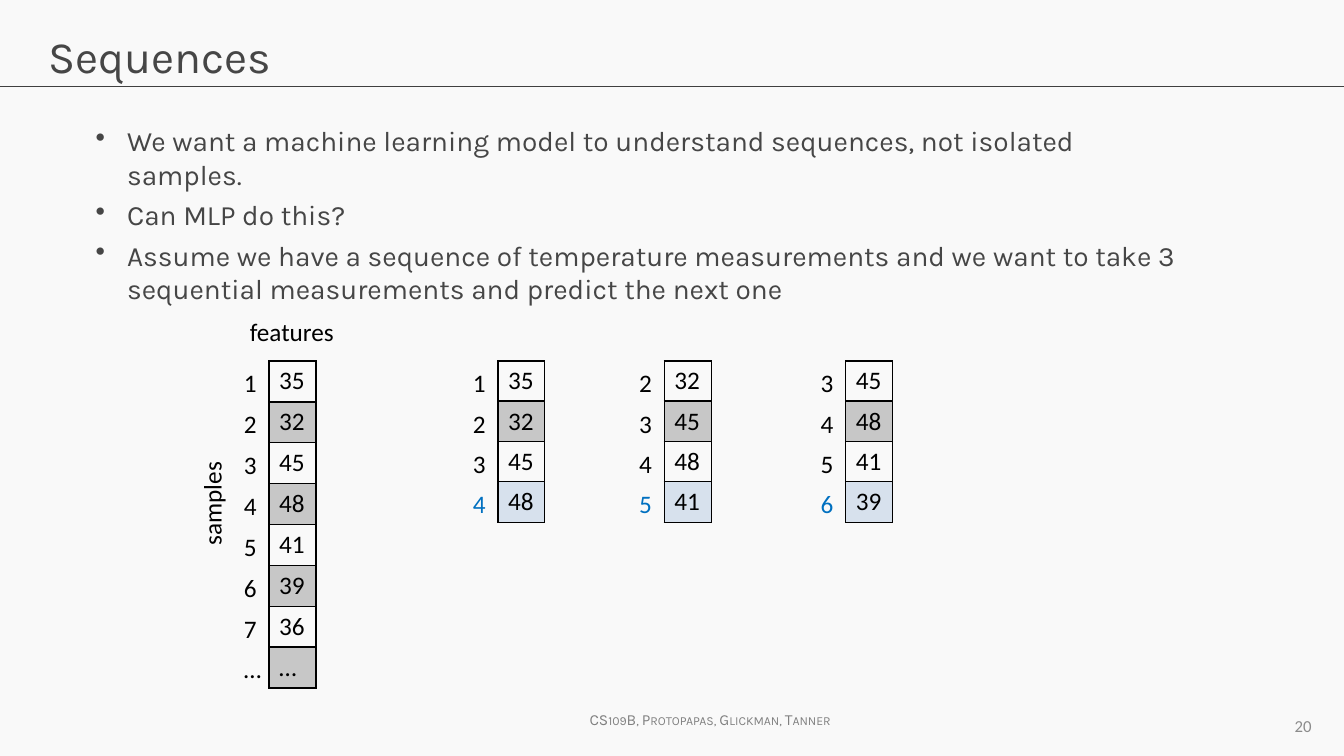
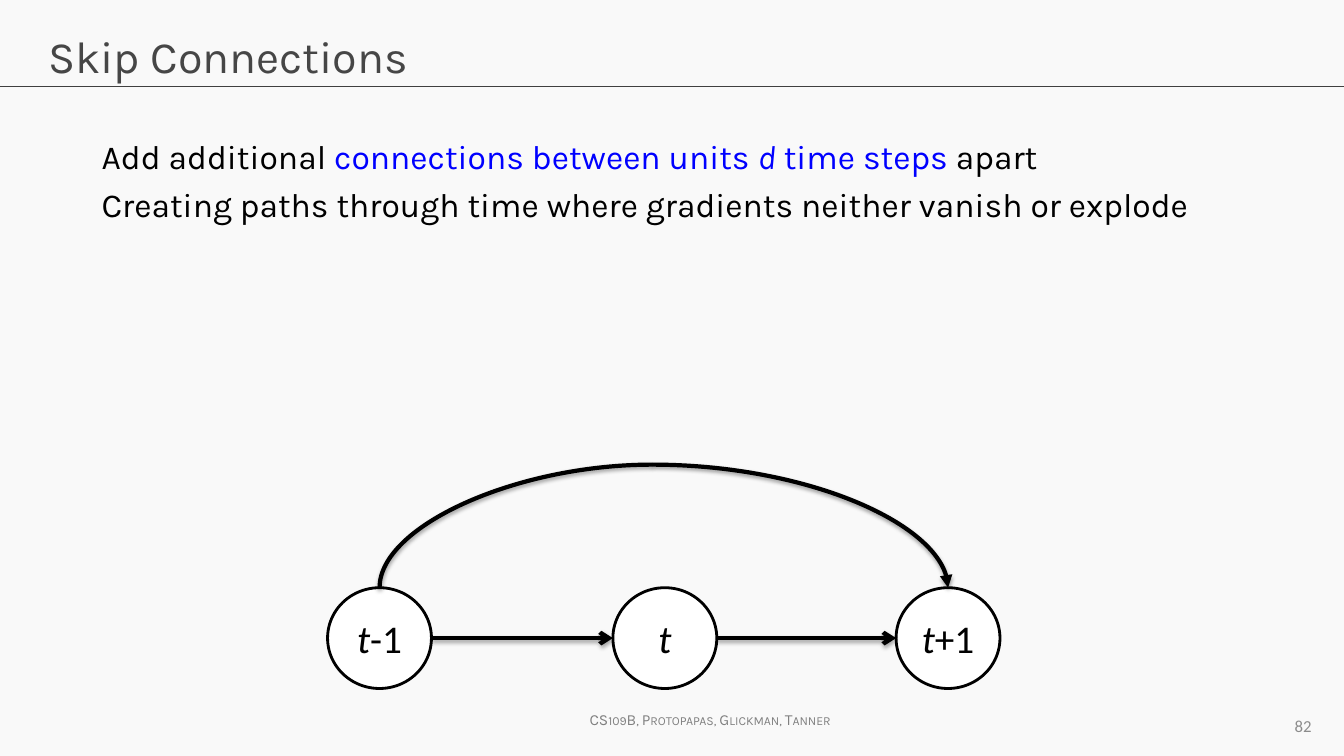
"""Build two lecture slides on sequences and skip connections."""
from dataclasses import dataclass

from lxml import etree
from pptx import Presentation
from pptx.dml.color import RGBColor
from pptx.enum.shapes import MSO_CONNECTOR, MSO_SHAPE
from pptx.enum.text import MSO_ANCHOR, PP_ALIGN
from pptx.oxml.ns import qn
from pptx.util import Pt

LEFT, CENTER, RIGHT = PP_ALIGN.LEFT, PP_ALIGN.CENTER, PP_ALIGN.RIGHT
TOP, MIDDLE = MSO_ANCHOR.TOP, MSO_ANCHOR.MIDDLE
STRAIGHT, CURVE = MSO_CONNECTOR.STRAIGHT, MSO_CONNECTOR.CURVE
OVAL = MSO_SHAPE.OVAL
NO_GRID = "{2D5ABB26-0587-4C30-8999-92F81FD0307C}"


@dataclass(frozen=True)
class Theme:
    width: float = 960
    height: float = 540
    heading_font: str = "Karla"
    label_font: str = "Calibri"
    background: str = "F9F9F9"
    rule: str = "404040"
    text: str = "464646"
    footer: str = "808080"
    number: str = "8C8C8C"
    black: str = "000000"
    white: str = "FFFFFF"
    blue: str = "0000FF"
    target: str = "0070C0"
    target_fill: str = "4F81BD"
    title_size: float = 32
    node_size: float = 28
    statement_size: float = 24
    bullet_size: float = 20
    label_size: float = 18
    number_size: float = 12
    footer_size: float = 11


T = Theme()


@dataclass(frozen=True)
class Box:
    x: float
    y: float
    w: float
    h: float

    def lengths(self) -> tuple:
        return Pt(self.x), Pt(self.y), Pt(self.w), Pt(self.h)


@dataclass(frozen=True)
class Style:
    size: float
    font: str = T.heading_font
    color: str = T.text
    align: PP_ALIGN = LEFT
    before: float = 0
    bullet: bool = False
    small_caps: bool = False


@dataclass(frozen=True)
class Run:
    text: str
    color: str = ""
    italic: bool = False


@dataclass(frozen=True)
class Window:
    x: float
    start: int
    count: int
    row_height: float
    predicts: bool = True


@dataclass(frozen=True)
class Node:
    x: float
    runs: tuple


LABEL = Style(T.label_size, T.label_font, T.black)
NODE_STYLE = Style(T.node_size, T.label_font, T.black, CENTER)
READINGS = ["35", "32", "45", "48", "41", "39", "36", "…"]
POSITIONS = ["1", "2", "3", "4", "5", "6", "7", "…"]
WINDOWS = [
    Window(192.2, 0, 8, 29.2, False),
    Window(355.7, 0, 4, 28.8),
    Window(474.5, 1, 4, 28.8),
    Window(604.1, 2, 4, 28.8),
]
TABLE_TOP = 257.8
NODES = [
    Node(234, (Run("t", italic=True), Run("-1"))),
    Node(437.8, (Run("t", italic=True),)),
    Node(640.1, (Run("t", italic=True), Run("+1"))),
]
NODE_TOP, NODE_W, NODE_H = 419.8, 74.2, 72
APEX_X, APEX_Y = 465.8, 331.9


def rgb(color: str) -> RGBColor:
    return RGBColor.from_string(color)


def sub(parent, tag: str, **attrs):
    return etree.SubElement(parent, qn(tag), attrs)


def write(tf, paragraphs: list, style: Style) -> None:
    for i, runs in enumerate(paragraphs):
        p = tf.add_paragraph() if i else tf.paragraphs[0]
        p.alignment = style.align
        if style.bullet:
            pPr = p._p.get_or_add_pPr()
            pPr.set("marL", str(Pt(22.5)))
            pPr.set("indent", str(-Pt(22.5)))
            sub(pPr, "a:buChar", char="•")
        if i and style.before:
            p.space_before = Pt(style.before)
        for run in runs:
            r = p.add_run()
            r.text = run.text
            r.font.name = style.font
            r.font.size = Pt(style.size)
            r.font.italic = run.italic
            r.font.color.rgb = rgb(run.color or style.color)
            if style.small_caps:
                r.font._element.set("cap", "small")


def add_text(s, box: Box, paragraphs: list, style: Style,
             wrap: bool = True, anchor: MSO_ANCHOR = TOP):
    sp = s.shapes.add_textbox(*box.lengths())
    tf = sp.text_frame
    tf.word_wrap = wrap
    tf.vertical_anchor = anchor
    write(tf, paragraphs, style)
    return sp


def add_line(s, kind, start: tuple, end: tuple, width: float, color: str,
             arrow: tuple = (), shadow: tuple = ()):
    cx = s.shapes.add_connector(kind, *(Pt(v) for v in start + end))
    cx.line.color.rgb = rgb(color)
    cx.line.width = Pt(width)
    spPr = cx.element.spPr
    if arrow:
        end_tag, arrow_type = arrow
        sub(spPr.find(qn("a:ln")), end_tag, type=arrow_type)
    effects = sub(spPr, "a:effectLst")
    if shadow:
        alpha, distance = shadow
        outer = sub(effects, "a:outerShdw", blurRad=str(Pt(3.1)),
                    dist=str(Pt(distance)), dir="5400000", rotWithShape="0")
        clr = sub(outer, "a:srgbClr", val=T.black)
        sub(clr, "a:alpha", val=str(alpha * 1000))
    return cx


def add_arc(s, foot_x: float, arrow: tuple = ()) -> None:
    side = 1 if foot_x > APEX_X else -1
    mid_x, mid_y = (foot_x + APEX_X) / 2, (NODE_TOP + APEX_Y) / 2
    rise, run = NODE_TOP - APEX_Y, abs(foot_x - APEX_X)
    start = (mid_x - side * rise / 2, mid_y + run / 2)
    end = (mid_x + side * rise / 2, mid_y - run / 2)
    cx = add_line(s, CURVE, start, end, 3, T.black, arrow, (38, 1.6))
    spPr = cx.element.spPr
    spPr.find(qn("a:xfrm")).set("rot", str((180 + 90 * side) * 60000))
    spPr.find(qn("a:prstGeom")).set("prst", "curvedConnector2")


def add_borders(cell, row: int) -> None:
    tcPr = cell._tc.get_or_add_tcPr()
    thick = {0: "a:lnB", 1: "a:lnT"}.get(row)
    for tag in ("a:lnL", "a:lnR", "a:lnT", "a:lnB"):
        ln = sub(tcPr, tag, w=str(Pt(2 if tag == thick else 1)))
        sub(sub(ln, "a:solidFill"), "a:srgbClr", val=T.black)


def tint(cell, color: str) -> None:
    cell.fill.solid()
    cell.fill.fore_color.rgb = rgb(color)
    for clr in cell._tc.tcPr.find(qn("a:solidFill")):
        sub(clr, "a:alpha", val="20000")


def add_column(s, x: float, y: float, width: float, window: Window,
               values: list, boxed: bool) -> None:
    n = window.count
    box = Box(x, y, width, n * window.row_height)
    frame = s.shapes.add_table(n, 1, *box.lengths())
    table = frame.table
    table.first_row = table.horz_banding = False
    for style_id in frame.element.iter(qn("a:tableStyleId")):
        style_id.text = NO_GRID
    for row, value in enumerate(values[window.start:window.start + n]):
        table.rows[row].height = Pt(window.row_height)
        cell = table.cell(row, 0)
        cell.margin_bottom = Pt(3)
        cell.margin_right = 0
        is_target = window.predicts and row == n - 1
        color = T.target if is_target and not boxed else T.black
        write(cell.text_frame, [[Run(value, color)]], LABEL)
        if boxed:
            add_borders(cell, row)
        if boxed and row % 2:
            tint(cell, T.target_fill if is_target else T.black)
        else:
            cell.fill.background()


def add_node(s, node: Node) -> None:
    sp = s.shapes.add_shape(OVAL, *Box(node.x, NODE_TOP, NODE_W, NODE_H).lengths())
    sp.shadow.inherit = False
    sp.fill.solid()
    sp.fill.fore_color.rgb = rgb(T.white)
    sp.line.color.rgb = rgb(T.black)
    sp.line.width = Pt(2)
    tf = sp.text_frame
    tf.word_wrap = False
    tf.vertical_anchor = MIDDLE
    write(tf, [node.runs], NODE_STYLE)


def add_slide(prs, title: str, number: int):
    s = prs.slides.add_slide(prs.slide_layouts[6])
    s.background.fill.solid()
    s.background.fill.fore_color.rgb = rgb(T.background)
    add_line(s, STRAIGHT, (0, 62), (T.width, 62), 0.75, T.rule)
    add_text(s, Box(414, 504, 195.8, 21), [[Run("CS109B, Protopapas, Glickman, Tanner")]],
             Style(T.footer_size, color=T.footer, small_caps=True), wrap=False)
    add_text(s, Box(27.4, 17.3, 905, 60.5), [[Run(title)]], Style(T.title_size))
    add_text(s, Box(720, 504, 223.9, 28.8), [[Run(str(number))]],
             Style(T.number_size, T.label_font, T.number, RIGHT), anchor=MIDDLE)
    return s


def build_sequences(prs) -> None:
    s = add_slide(prs, "Sequences", 20)
    bullets = [
        "We want a machine learning model to understand sequences, not isolated samples.",
        "Can MLP do this?",
        "Assume we have a sequence of temperature measurements and we want to take 3 "
        "sequential measurements and predict the next one",
    ]
    add_text(s, Box(61.2, 85, 792.7, 135), [[Run(b)] for b in bullets],
             Style(T.bullet_size, before=4.7, bullet=True))
    add_text(s, Box(171.4, 222.5, 74.9, 28.8), [[Run("features")]], LABEL, wrap=False)
    sp = add_text(s, Box(113.8, 344.9, 74.9, 28.8), [[Run("samples")]], LABEL, wrap=False)
    sp.rotation = 270
    for window in WINDOWS:
        add_column(s, window.x, TABLE_TOP, 33.5, window, READINGS, True)
        add_column(s, window.x - 25.2, TABLE_TOP + 2, 18, window, POSITIONS, False)


def build_skip_connections(prs) -> None:
    s = add_slide(prs, "Skip Connections", 82)
    statements = [
        [Run("Add additional "), Run("connections between units ", T.blue),
         Run("d", T.blue, True), Run(" time steps ", T.blue), Run("apart")],
        [Run("Creating paths through time where gradients neither vanish or explode")],
    ]
    add_text(s, Box(65.5, 93.5, 812.9, 166.3), statements,
             Style(T.statement_size, color=T.black, before=5.6))
    for node in NODES:
        add_node(s, node)
    mid_y = NODE_TOP + NODE_H / 2
    for left, right in zip(NODES, NODES[1:]):
        add_line(s, STRAIGHT, (left.x + NODE_W, mid_y), (right.x, mid_y), 3, T.black,
                 ("a:tailEnd", "arrow"), (35, 1.8))
    add_arc(s, NODES[0].x + NODE_W / 2)
    add_arc(s, NODES[-1].x + NODE_W / 2, ("a:headEnd", "triangle"))


def main() -> None:
    prs = Presentation()
    prs.slide_width, prs.slide_height = Pt(T.width), Pt(T.height)
    build_sequences(prs)
    build_skip_connections(prs)
    prs.save("out.pptx")


if __name__ == "__main__":
    main()
